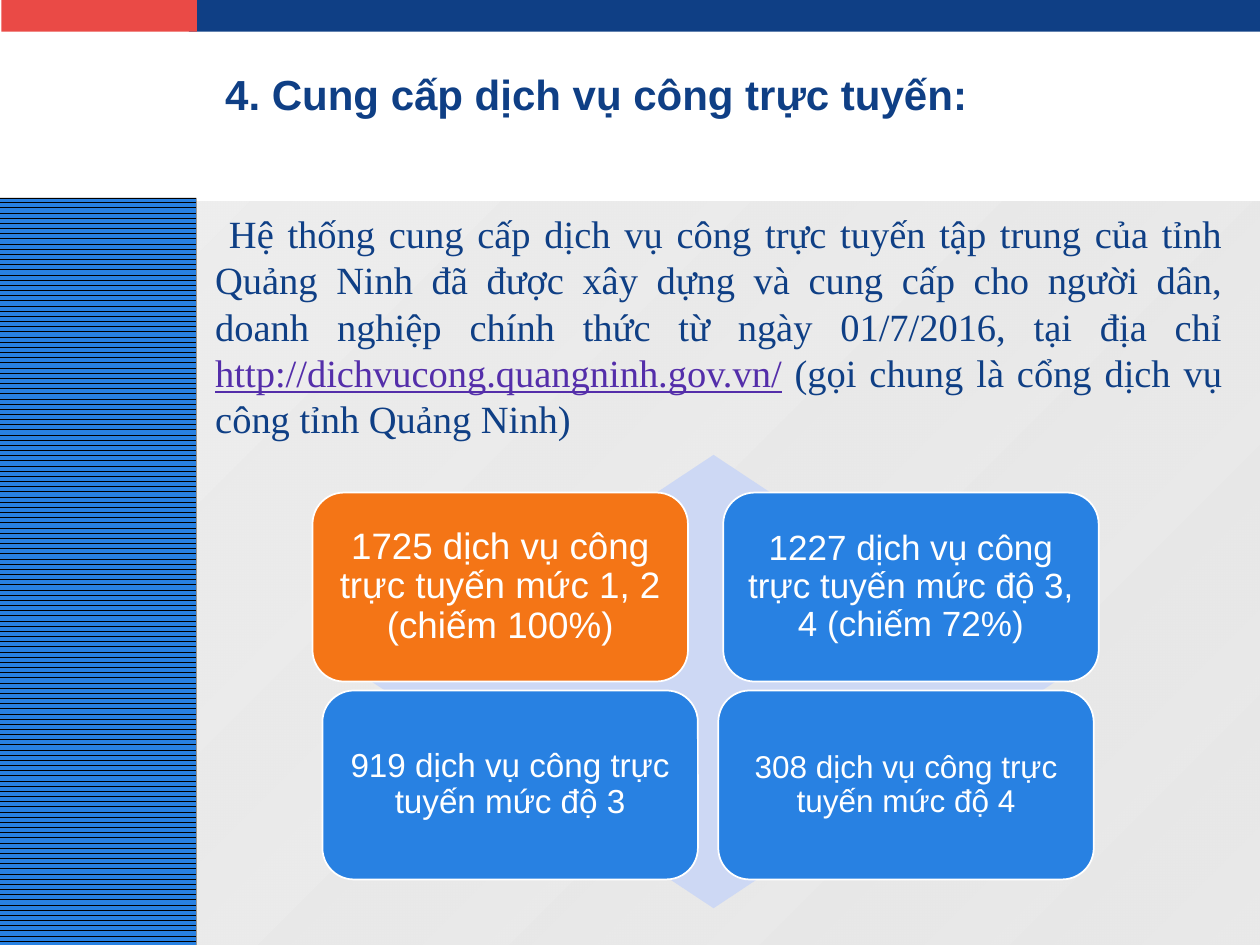
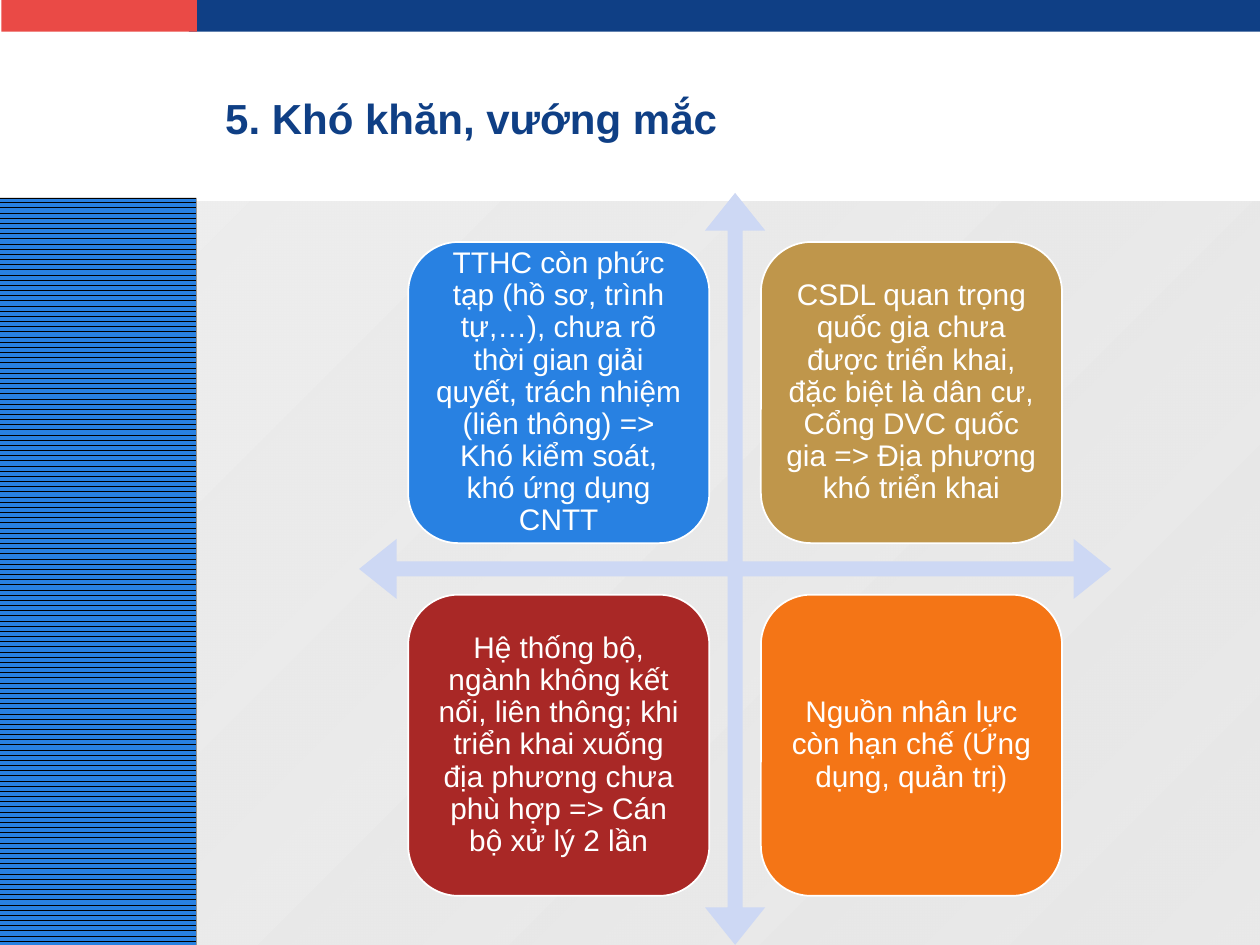
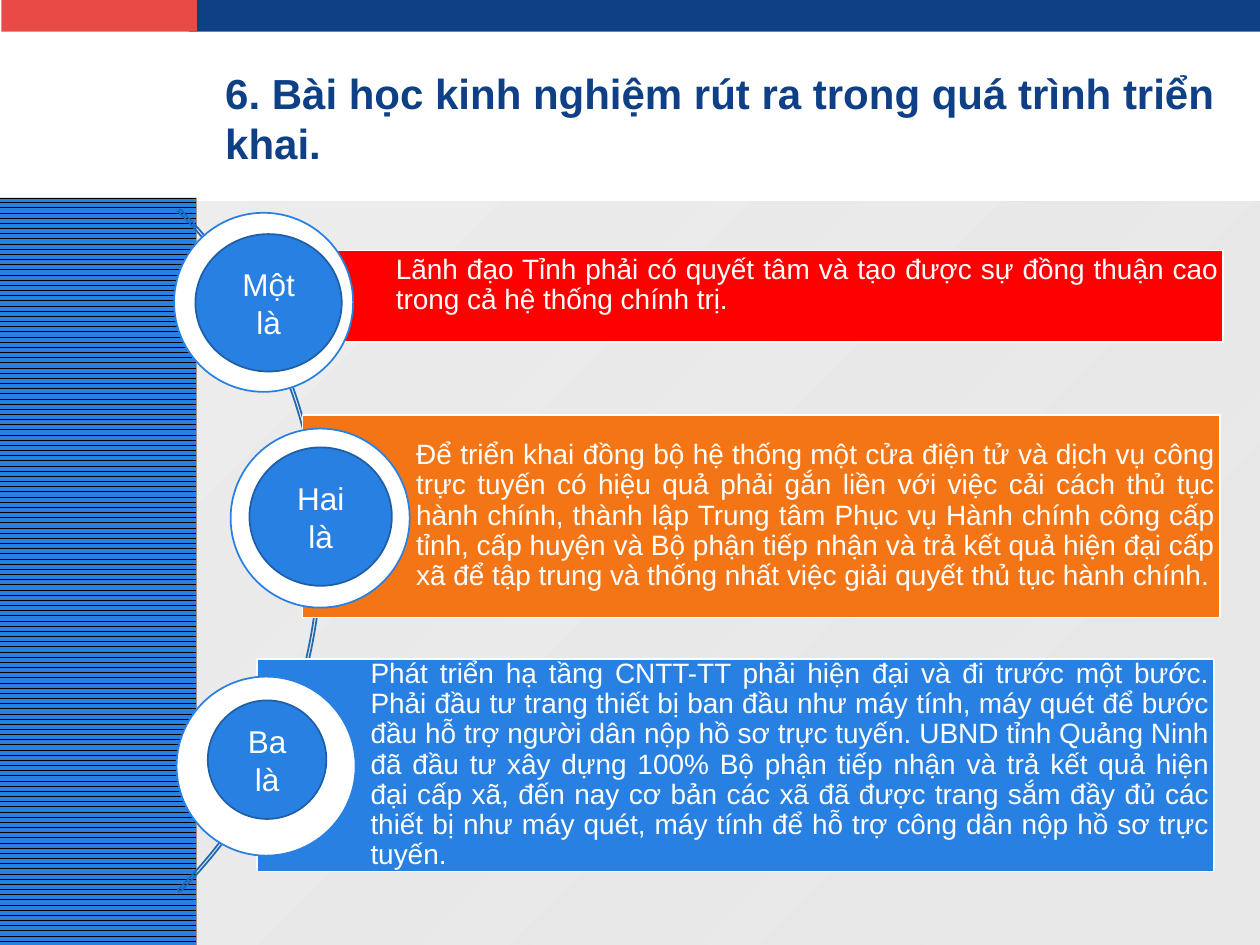
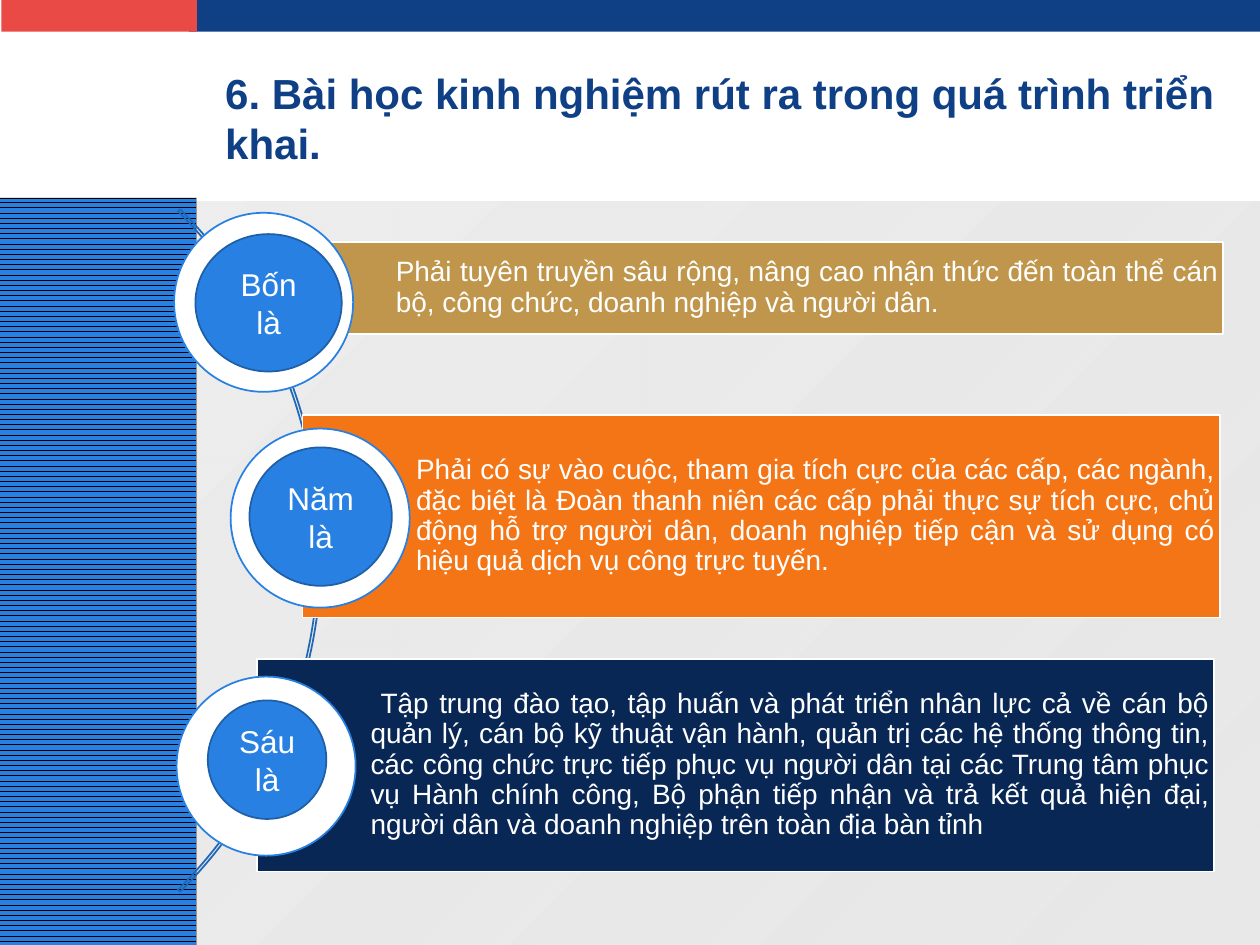
from dataclasses import dataclass
from itertools import product

from lxml.etree import SubElement
from pptx import Presentation
from pptx.dml.color import RGBColor as Rgb
from pptx.enum.dml import MSO_PATTERN_TYPE as Weave
from pptx.enum.shapes import MSO_SHAPE as Form
from pptx.enum.text import MSO_ANCHOR as Anchor
from pptx.enum.text import MSO_AUTO_SIZE as Fit
from pptx.enum.text import PP_ALIGN as Align
from pptx.oxml.ns import qn
from pptx.util import Cm, Pt


@dataclass(frozen=True)
class Theme:
    navy: str = "0F3F85"
    deep: str = "082755"
    blue: str = "2881E2"
    edge: str = "1E5FA7"
    arc: str = "2067B5"
    pale: str = "CDD8F4"
    coral: str = "EA4A46"
    red: str = "FF0000"
    brick: str = "A92826"
    orange: str = "F47516"
    gold: str = "BF964B"
    link: str = "542EAA"
    white: str = "FFFFFF"
    black: str = "000000"
    light: str = "EEEEEE"
    grey: str = "DDDDDD"
    sans: str = "Arial"
    serif: str = "Times New Roman"
    head: int = 24
    body: int = 22
    label: int = 18
    card: int = 17
    bar: int = 16


def write(frame, text, *, font, size, color, bold=False, align=Align.LEFT,
          anchor=Anchor.MIDDLE, space=1.0, pads=(0.25, 0.13, 0.25, 0.13)):
    frame.word_wrap = True
    frame.auto_size = Fit.NONE
    frame.vertical_anchor = anchor
    left, top, right, low = map(Cm, pads)
    frame.margin_left, frame.margin_top = left, top
    frame.margin_right, frame.margin_bottom = right, low
    para = frame.paragraphs[0]
    para.alignment = align
    para.line_spacing = space
    parts = [(text, {})] if isinstance(text, str) else text
    for words, change in parts:
        run = para.add_run()
        run.text = words
        run.font.name = font
        run.font.size = Pt(size)
        run.font.bold = bold
        run.font.underline = change.get("line", False)
        run.font.color.rgb = Rgb.from_string(change.get("color", color))


class Deck:
    def __init__(self, theme):
        self.theme = theme
        self.show = Presentation()
        self.show.slide_width, self.show.slide_height = Cm(25.4), Cm(19.05)
        self.layout = self.show.slide_layouts[5]
        self.slide = None

    def page(self, title, high=2.31):
        first = self.slide is None
        self.slide = self.show.slides.add_slide(self.layout)
        if first:
            self.frame()
        head = self.slide.shapes.title
        head.left, head.top = Cm(4.29), Cm(1.22)
        head.width, head.height = Cm(20.6), Cm(high)
        write(head.text_frame, title, font=self.theme.sans,
              size=self.theme.head, color=self.theme.navy, bold=True)

    def frame(self):
        look = self.theme
        top = self.shape(Form.RECTANGLE, (3.81, 0, 21.59, 0.64), look.navy)
        field = self.shape(Form.RECTANGLE, (0, 4.06, 25.4, 14.99), look.light)
        field.fill.gradient()
        field.fill.gradient_angle = 315
        for stop, tint in zip(field.fill.gradient_stops, (look.light, look.grey)):
            stop.color.rgb = Rgb.from_string(tint)
        last = field.element.spPr.xpath(".//a:srgbClr")[-1]
        SubElement(last, qn("a:alpha"), val="64000")
        side = self.shape(Form.RECTANGLE, (0, 3.99, 3.96, 15.06), look.blue)
        side.fill.patterned()
        side.fill.pattern = Weave.DARK_HORIZONTAL
        side.fill.fore_color.rgb = Rgb.from_string(look.blue)
        side.fill.back_color.rgb = Rgb.from_string(look.black)
        tab = self.shape(Form.RECTANGLE, (0.03, 0, 3.94, 0.64), look.coral)
        tree = self.layout.shapes.element
        for place, band in enumerate((top, field, side, tab), start=2):
            tree.insert(place, band.element)

    def shape(self, form, box, fill=None, line=None, tune=()):
        item = self.slide.shapes.add_shape(form, *map(Cm, box))
        item.shadow.inherit = False
        if fill:
            item.fill.solid()
            item.fill.fore_color.rgb = Rgb.from_string(fill)
        else:
            item.fill.background()
        if line:
            item.line.color.rgb = Rgb.from_string(line)
            item.line.width = Pt(1)
        else:
            item.line.fill.background()
        for index, value in enumerate(tune):
            item.adjustments[index] = value
        return item

    def text(self, box, parts):
        item = self.slide.shapes.add_textbox(*map(Cm, box))
        write(item.text_frame, parts, font=self.theme.serif,
              size=self.theme.body, color=self.theme.navy,
              align=Align.JUSTIFY, anchor=Anchor.TOP)

    def card(self, box, text, fill, size):
        item = self.shape(Form.ROUNDED_RECTANGLE, box, fill, self.theme.white)
        write(item.text_frame, text, font=self.theme.sans, size=size,
              color=self.theme.white, align=Align.CENTER, space=0.9,
              pads=(0.2,) * 4)

    def bar(self, box, text, fill, anchor):
        item = self.shape(Form.RECTANGLE, box, fill, self.theme.white)
        write(item.text_frame, text, font=self.theme.sans,
              size=self.theme.bar, color=self.theme.white,
              align=Align.JUSTIFY, anchor=anchor, space=0.9,
              pads=(2.29, 0.1, 0.1, 0.1))

    def badge(self, spot, box, text):
        look = self.theme
        self.shape(Form.OVAL, (*spot, 3.61, 3.61), look.white, look.blue)
        disc = self.shape(Form.OVAL, box, look.blue, look.edge)
        write(disc.text_frame, text, font=look.sans, size=look.label,
              color=look.white, align=Align.CENTER)

    def steps(self, items, top, anchor=Anchor.MIDDLE):
        self.page("6. Bài học kinh nghiệm rút ra trong quá trình triển khai.")
        self.shape(Form.BLOCK_ARC, (-12.98, 1.37, 19.46, 19.46),
                   line=self.theme.arc, tune=(189, 27, 0.003))
        bars = ((5.69, top, 18.97, 1.85), (6.1, 8.36, 18.49, 4.09),
                (5.18, 13.28, 19.3, 4.29))
        rings = ((3.51, 4.29), (4.65, 8.64), (3.56, 13.64))
        discs = ((3.94, 4.72, 2.95, 2.77), (5.03, 9.02, 2.87, 2.79),
                 (4.19, 14.12, 2.39, 2.39))
        holds = (anchor, Anchor.MIDDLE, Anchor.MIDDLE)
        for item, box, ring, disc, hold in zip(items, bars, rings, discs, holds):
            label, text, fill = item
            self.bar(box, text, fill, hold)
            self.badge(ring, disc, label)


def main():
    look = Theme()
    deck = Deck(look)

    deck.page("4. Cung cấp dịch vụ công trực tuyến:", high=1.35)
    deck.text((4.09, 4.11, 20.8, 4.95), [
        (" Hệ thống cung cấp dịch vụ công trực tuyến tập trung của tỉnh "
         "Quảng Ninh đã được xây dựng và cung cấp cho người dân, doanh nghiệp "
         "chính thức từ ngày 01/7/2016, tại địa chỉ ", {}),
        ("http://dichvucong.quangninh.gov.vn/", {"color": look.link, "line": True}),
        (" (gọi chung là cổng dịch vụ công tỉnh Quảng Ninh)", {}),
    ])
    deck.shape(Form.DIAMOND, (7.49, 9.17, 13.79, 9.14), look.pale)
    levels = (
        (6.3, 9.93, "1725 dịch vụ công trực tuyến mức 1, 2 (chiếm 100%)", look.orange, 21),
        (14.58, 9.93, "1227 dịch vụ công trực tuyến mức độ 3, 4 (chiếm 72%)", look.blue, 20),
        (6.5, 13.92, "919 dịch vụ công trực tuyến mức độ 3", look.blue, 19),
        (14.48, 13.92, "308 dịch vụ công trực tuyến mức độ 4", look.blue, 18),
    )
    for left, top, text, fill, size in levels:
        deck.card((left, top, 7.57, 3.81), text, fill, size)

    deck.page("5. Khó khăn, vướng mắc")
    deck.shape(Form.QUAD_ARROW, (7.24, 3.89, 15.16, 15.16), look.pale,
               tune=(0.02, 0.04, 0.05))
    issues = (
        ("TTHC còn phức tạp (hồ sơ, trình tự,…), chưa rõ thời gian giải quyết, "
         "trách nhiệm (liên thông) => Khó kiểm soát, khó ứng dụng CNTT", look.blue),
        ("CSDL quan trọng quốc gia chưa được triển khai, đặc biệt là dân cư, "
         "Cổng DVC quốc gia => Địa phương khó triển khai", look.gold),
        ("Hệ thống bộ, ngành không kết nối, liên thông; khi triển khai xuống "
         "địa phương chưa phù hợp => Cán bộ xử lý 2 lần", look.brick),
        ("Nguồn nhân lực còn hạn chế (Ứng dụng, quản trị)", look.orange),
    )
    for (row, col), (text, fill) in zip(product(range(2), repeat=2), issues):
        box = (8.23 + 7.11 * col, 4.88 + 7.11 * row, 6.07, 6.07)
        deck.card(box, text, fill, look.card)

    deck.steps((
        ("Một là", "Lãnh đạo Tỉnh phải có quyết tâm và tạo được sự đồng thuận cao "
         "trong cả hệ thống chính trị.", look.red),
        ("Hai là", "Để triển khai đồng bộ hệ thống một cửa điện tử và dịch vụ công "
         "trực tuyến có hiệu quả phải gắn liền với việc cải cách thủ tục hành chính, "
         "thành lập Trung tâm Phục vụ Hành chính công cấp tỉnh, cấp huyện và Bộ phận "
         "tiếp nhận và trả kết quả hiện đại cấp xã để tập trung và thống nhất việc "
         "giải quyết thủ tục hành chính.", look.orange),
        ("Ba là", "Phát triển hạ tầng CNTT-TT phải hiện đại và đi trước một bước. "
         "Phải đầu tư trang thiết bị ban đầu như máy tính, máy quét để bước đầu hỗ trợ "
         "người dân nộp hồ sơ trực tuyến. UBND tỉnh Quảng Ninh đã đầu tư xây dựng 100% "
         "Bộ phận tiếp nhận và trả kết quả hiện đại cấp xã, đến nay cơ bản các xã đã "
         "được trang sắm đầy đủ các thiết bị như máy quét, máy tính để hỗ trợ công dân "
         "nộp hồ sơ trực tuyến.", look.blue),
    ), top=5.05, anchor=Anchor.TOP)

    deck.steps((
        ("Bốn là", "Phải tuyên truyền sâu rộng, nâng cao nhận thức đến toàn thể cán bộ, "
         "công chức, doanh nghiệp và người dân.", look.gold),
        ("Năm là", "Phải có sự vào cuộc, tham gia tích cực của các cấp, các ngành, đặc "
         "biệt là Đoàn thanh niên các cấp phải thực sự tích cực, chủ động hỗ trợ người "
         "dân, doanh nghiệp tiếp cận và sử dụng có hiệu quả dịch vụ công trực tuyến.",
         look.orange),
        ("Sáu là", " Tập trung đào tạo, tập huấn và phát triển nhân lực cả về cán bộ "
         "quản lý, cán bộ kỹ thuật vận hành, quản trị các hệ thống thông tin, các công "
         "chức trực tiếp phục vụ người dân tại các Trung tâm phục vụ Hành chính công, "
         "Bộ phận tiếp nhận và trả kết quả hiện đại, người dân và doanh nghiệp trên "
         "toàn địa bàn tỉnh", look.deep),
    ), top=4.88)

    deck.show.save("out.pptx")


if __name__ == "__main__":
    main()
